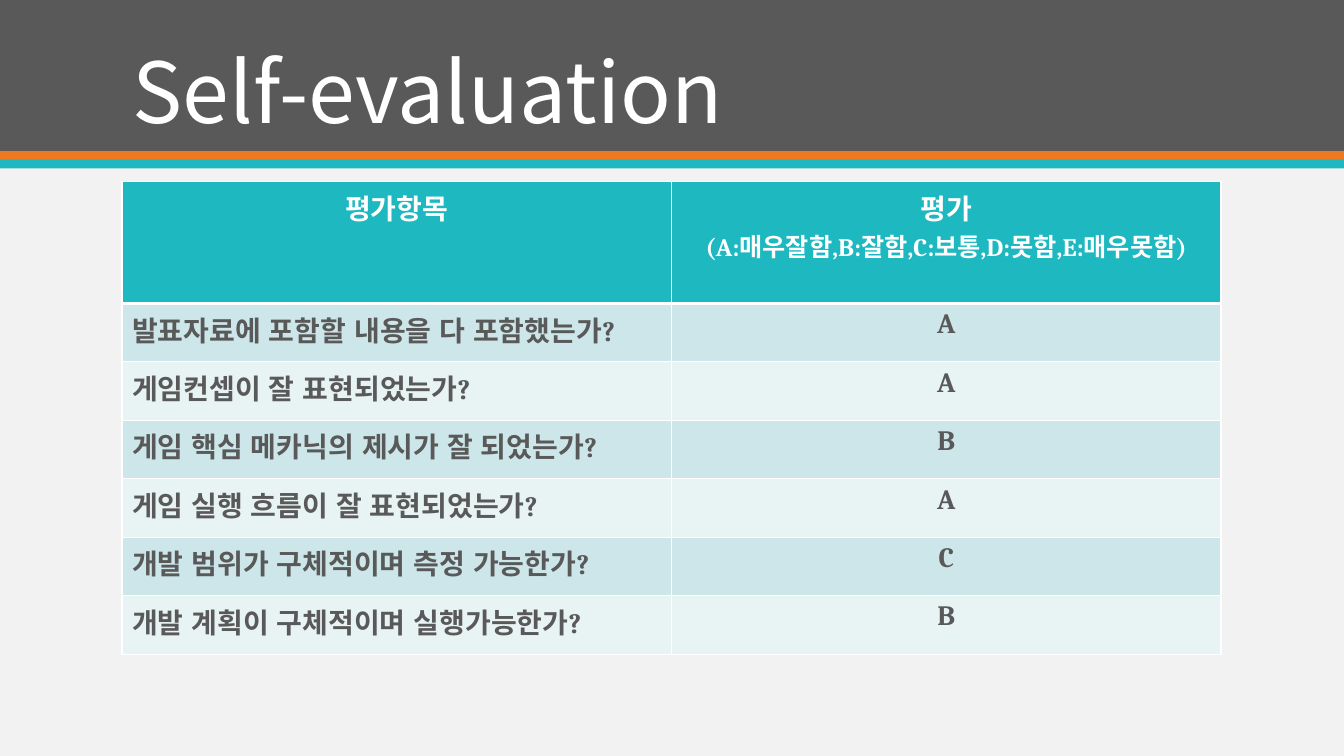
from dataclasses import dataclass

from pptx import Presentation
from pptx.dml.color import RGBColor
from pptx.enum import shapes, text
from pptx.oxml import xmlchemy
from pptx import util as u

PX = 9144  # EMU per px, 100 px to the inch


@dataclass(frozen=True)
class Theme:
    page: str = "F2F2F2"
    dark: str = "595959"
    orange: str = "EF7920"
    teal: str = "1EB8C1"
    white: str = "FFFFFF"
    bands: tuple = ("CDE6E9", "E8F3F4")
    korean_font: str = "Noto Sans CJK KR"
    table_font: str = "Cambria"
    title_size: int = 60
    cell_size: int = 20
    scale_size: int = 18


THEME = Theme()

HEADER = (
    [("평가항목", THEME.cell_size)],
    [("평가", THEME.cell_size),
     ("(A:매우잘함,B:잘함,C:보통,D:못함,E:매우못함)", THEME.scale_size)],
)
EVALUATIONS = (
    ("발표자료에 포함할 내용을 다 포함했는가?", "A"),
    ("게임컨셉이 잘 표현되었는가?", "A"),
    ("게임 핵심 메카닉의 제시가 잘 되었는가?", "B"),
    ("게임 실행 흐름이 잘 표현되었는가?", "A"),
    ("개발 범위가 구체적이며 측정 가능한가?", "C"),
    ("개발 계획이 구체적이며 실행가능한가?", "B"),
)
HEADER_HEIGHT = 121
ROW_HEIGHT = 58


def px(*lengths):
    return [u.Emu(length * PX) for length in lengths]


def add_run(paragraph, words, size, font, color, bold=False):
    run = paragraph.add_run()
    run.text = words
    run.font.size = u.Pt(size)
    run.font.name = font
    run.font.bold = bold
    run.font.color.rgb = RGBColor.from_string(color)
    # Hangul and the spaces between its words
    properties = run._r.get_or_add_rPr()
    properties.set("lang", "ko-KR")
    east_asian = xmlchemy.OxmlElement("a:ea")
    east_asian.set("typeface", THEME.korean_font)
    properties.append(east_asian)


def add_band(slide, top, height, color):
    shape = slide.shapes.add_shape(
        shapes.MSO_SHAPE.RECTANGLE, *px(0, top, 1333, height))
    shape.shadow.inherit = False
    shape.fill.solid()
    shape.fill.fore_color.rgb = RGBColor.from_string(color)
    shape.line.fill.background()


def add_title(slide, words):
    frame = slide.shapes.add_textbox(*px(122, 32, 1050, 113)).text_frame
    frame.word_wrap = True
    frame.vertical_anchor = text.MSO_ANCHOR.BOTTOM
    paragraph = frame.paragraphs[0]
    paragraph.line_spacing = 0.9
    add_run(paragraph, words, THEME.title_size, THEME.korean_font, THEME.white)


def set_borders(cell, top=1, bottom=1):
    properties = cell._tc.get_or_add_tcPr()
    for side, width in (("L", 1), ("R", 1), ("T", top), ("B", bottom)):
        line = xmlchemy.OxmlElement(f"a:ln{side}")
        line.set("w", str(u.Pt(width)))
        fill = xmlchemy.OxmlElement("a:solidFill")
        color = xmlchemy.OxmlElement("a:srgbClr")
        color.set("val", THEME.white)
        fill.append(color)
        line.append(fill)
        properties.append(line)


def fill_cell(cell, lines, background, color, centered):
    cell.fill.solid()
    cell.fill.fore_color.rgb = RGBColor.from_string(background)
    frame = cell.text_frame
    for index, (words, size) in enumerate(lines):
        paragraph = frame.add_paragraph() if index else frame.paragraphs[0]
        if centered:
            paragraph.alignment = text.PP_ALIGN.CENTER
        add_run(paragraph, words, size, THEME.table_font, color, bold=True)


def add_evaluation_table(slide):
    row_count = len(EVALUATIONS) + 1
    table = slide.shapes.add_table(
        row_count, 2, *px(121, 180, 1090, ROW_HEIGHT * row_count)).table

    # Header row
    table.rows[0].height = px(HEADER_HEIGHT)[0]
    for column, lines in enumerate(HEADER):
        cell = table.cell(0, column)
        set_borders(cell, bottom=3)
        fill_cell(cell, lines, THEME.teal, THEME.white, True)

    # Banded question rows
    for row, answers in enumerate(EVALUATIONS, start=1):
        for column, words in enumerate(answers):
            cell = table.cell(row, column)
            set_borders(cell, top=3 if row == 1 else 1)
            fill_cell(cell, [(words, THEME.cell_size)],
                      THEME.bands[(row - 1) % 2], THEME.dark, column == 1)


def main():
    presentation = Presentation()
    presentation.slide_width, presentation.slide_height = px(1333, 750)
    slide = presentation.slides.add_slide(presentation.slide_layouts[6])
    slide.background.fill.solid()
    slide.background.fill.fore_color.rgb = RGBColor.from_string(THEME.page)

    # Title banner with two stripes
    add_band(slide, 0, 150, THEME.dark)
    add_band(slide, 150, 9, THEME.orange)
    add_band(slide, 158, 9, THEME.teal)
    add_title(slide, "Self-evaluation")

    # Evaluation table
    add_evaluation_table(slide)

    presentation.save("out.pptx")


if __name__ == "__main__":
    main()
